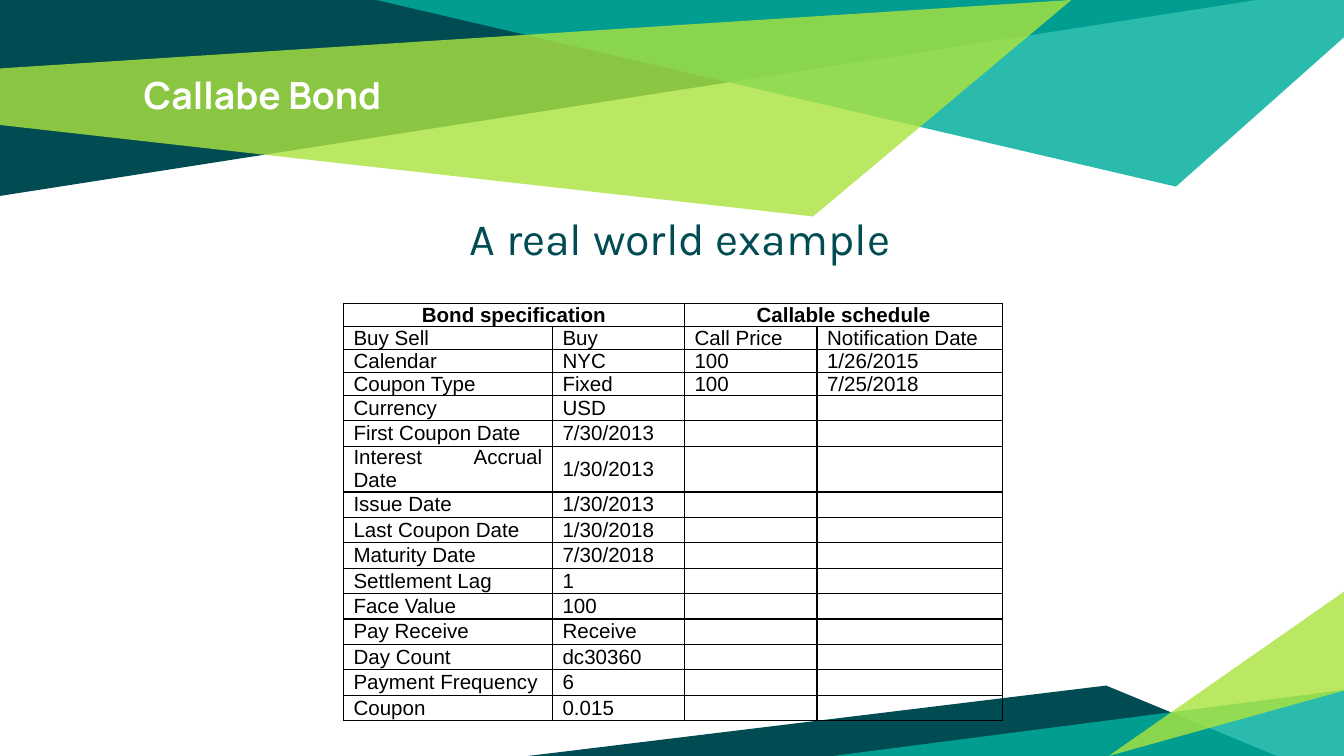
from lxml import etree
from pptx import Presentation
from pptx import util as u
from pptx.dml import color
from pptx.enum import text
from pptx.oxml import ns

Pt = u.Pt
theme = {
    "dark": "004C52", "teal": "00AE9D", "lime": "ABE33F",
    "white": "FFFFFF", "black": "000000",
    "title_size": 20, "subtitle_size": 24, "table_size": 11,
    "title_font": "Manrope", "subtitle_font": "Karla", "table_font": "Arial",
}


def add_element(parent, tag, **attributes):
    return etree.SubElement(parent, ns.qn(tag), attributes)


def write_text(paragraph, content, font, size, fill, bold=False, align=text.PP_ALIGN.LEFT):
    paragraph.alignment = align
    if not content:
        add_element(paragraph._p, "a:endParaRPr", sz=str(size * 100))
        return
    run = paragraph.add_run()
    run.text = content
    run.font.name = font
    run.font.size = Pt(size)
    run.font.bold = bold
    run.font.color.rgb = color.RGBColor.from_string(theme[fill])


presentation = Presentation()
presentation.slide_width, presentation.slide_height = Pt(720), Pt(405)
slide = presentation.slides.add_slide(presentation.slide_layouts[1])

facets = [
    ("dark", 100, [(0, 0), (0, 105), (673, 0)]),
    ("teal", 83, [(201.6, 0), (630, 100), (720, 20), (720, 0)]),
    ("lime", 81, [(0, 36.7), (0, 67), (435.6, 116), (574, 0)]),
    ("dark", 100, [(283, 405), (684, 405), (592.6, 367.3)]),
    ("teal", 83, [(720, 369.6), (720, 405), (446, 405)]),
    ("lime", 81, [(720, 370), (720, 317), (594, 405)]),
]
for fill, opacity, corners in facets:
    points = [(Pt(x), Pt(y)) for x, y in corners]
    builder = slide.shapes.build_freeform(*points[0])
    builder.add_line_segments(points[1:], close=True)
    facet = builder.convert_to_shape()
    facet.shadow.inherit = False
    facet.line.fill.background()
    facet.fill.solid()
    facet.fill.fore_color.rgb = color.RGBColor.from_string(theme[fill])
    if opacity < 100:
        rgb = facet.element.spPr.find(".//" + ns.qn("a:srgbClr"))
        add_element(rgb, "a:alpha", val=str(opacity * 1000))

title, body = slide.shapes.title, slide.placeholders[1]
for placeholder, box in [(title, (69.8, 31.7, 580.3, 46.1)), (body, (65.5, 105.8, 591.8, 294.5))]:
    placeholder.left, placeholder.top, placeholder.width, placeholder.height = map(Pt, box)
    frame = placeholder.text_frame
    frame.margin_left = frame.margin_right = frame.margin_top = frame.margin_bottom = Pt(7.2)
    frame.vertical_anchor = text.MSO_ANCHOR.TOP
    frame.auto_size = text.MSO_AUTO_SIZE.NONE
    frame.word_wrap = True
    slide.shapes.element.append(placeholder.element)

write_text(title.text_frame.paragraphs[0], "Callabe Bond", theme["title_font"],
           theme["title_size"], "white", bold=True)

subtitle = body.text_frame.paragraphs[0]
properties = subtitle._p.get_or_add_pPr()
properties.set("marL", str(Pt(5.76)))
properties.set("indent", "0")
add_element(properties, "a:buNone")
subtitle.space_before = Pt(0)
write_text(subtitle, "A real world example", theme["subtitle_font"],
           theme["subtitle_size"], "dark", align=text.PP_ALIGN.CENTER)

rows = [
    ("Bond specification", "", "Callable schedule", ""),
    ("Buy Sell", "Buy", "Call Price", "Notification Date"),
    ("Calendar", "NYC", "100", "1/26/2015"),
    ("Coupon Type", "Fixed", "100", "7/25/2018"),
    ("Currency", "USD", "", ""),
    ("First Coupon Date", "7/30/2013", "", ""),
    ("Interest Accrual Date", "1/30/2013", "", ""),
    ("Issue Date", "1/30/2013", "", ""),
    ("Last Coupon Date", "1/30/2018", "", ""),
    ("Maturity Date", "7/30/2018", "", ""),
    ("Settlement Lag", "1", "", ""),
    ("Face Value", "100", "", ""),
    ("Pay Receive", "Receive", "", ""),
    ("Day Count", "dc30360", "", ""),
    ("Payment Frequency", "6", "", ""),
    ("Coupon", "0.015", "", ""),
]
column_widths = [112, 70.7, 71, 99.5]
row_height = 12.3
table = slide.shapes.add_table(len(rows), len(column_widths), Pt(184), Pt(162.7),
                               Pt(sum(column_widths)), Pt(row_height * (len(rows) + 1))).table
table.first_row = table.horz_banding = False
for column, width in zip(table.columns, column_widths):
    column.width = Pt(width)

for row_index, values in enumerate(rows):
    header = row_index == 0
    lines = 2 if values[0] == "Interest Accrual Date" else 1
    table.rows[row_index].height = Pt(row_height * lines)
    for column_index, value in enumerate(values):
        cell = table.cell(row_index, column_index)
        cell.margin_left = cell.margin_right = Pt(5.4)
        cell.margin_top = cell.margin_bottom = Pt(0)
        cell.vertical_anchor = text.MSO_ANCHOR.TOP if header else text.MSO_ANCHOR.MIDDLE
        cell_properties = cell._tc.get_or_add_tcPr()
        for side in ("a:lnL", "a:lnR", "a:lnT", "a:lnB"):
            border = add_element(cell_properties, side, w=str(Pt(0.75)))
            add_element(add_element(border, "a:solidFill"), "a:srgbClr", val=theme["black"])
        cell.fill.background()
        write_text(cell.text_frame.paragraphs[0], value, theme["table_font"],
                   theme["table_size"], "black", bold=header,
                   align=text.PP_ALIGN.CENTER if header else text.PP_ALIGN.JUSTIFY)

for first in (0, 2):
    table.cell(0, first).merge(table.cell(0, first + 1))

presentation.save("out.pptx")
